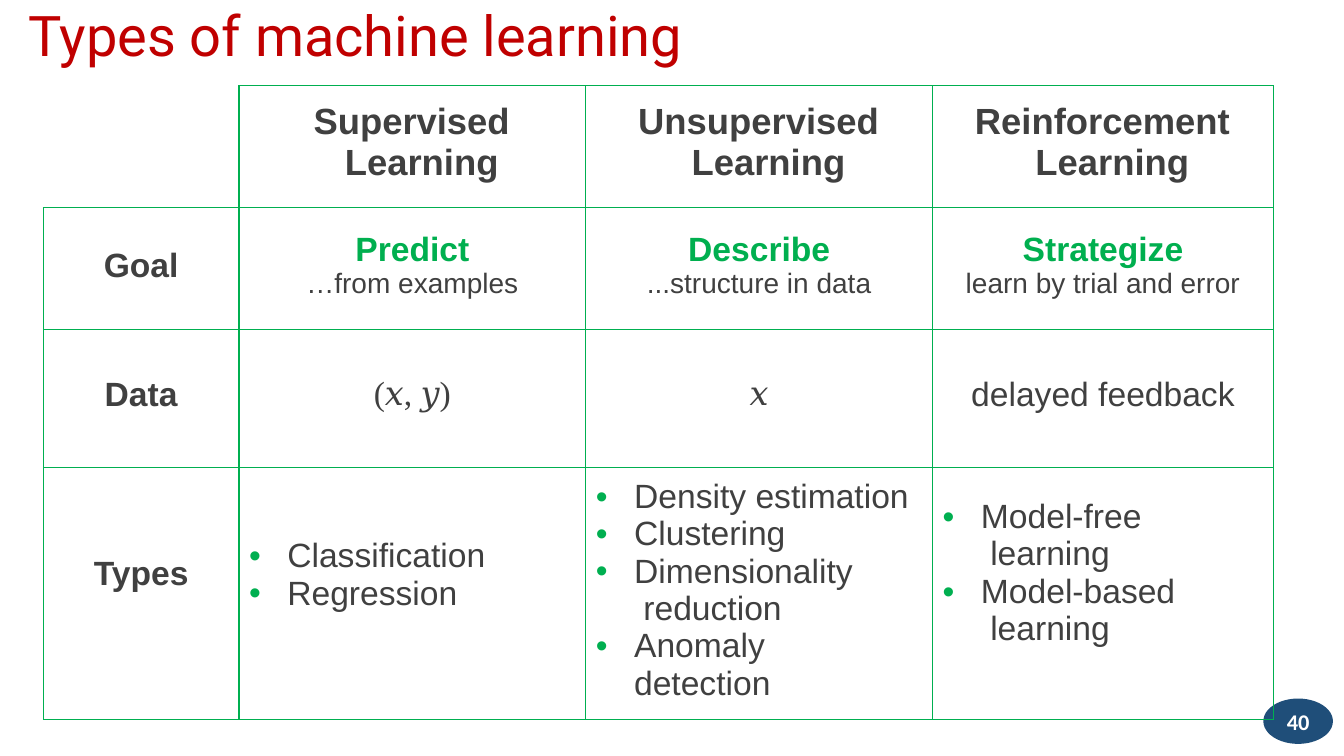
from dataclasses import dataclass

from lxml.etree import SubElement
from pptx import Presentation
from pptx.dml.color import RGBColor
from pptx.enum.shapes import MSO_SHAPE as SHAPE
from pptx.enum.text import MSO_ANCHOR as ANCHOR, PP_ALIGN as ALIGN
from pptx.oxml.ns import qn
from pptx.util import Inches, Pt


@dataclass(frozen=True)
class Theme:
    title: str = "C00000"
    text: str = "404040"
    accent: str = "00AF4F"
    line: str = "00AF50"
    badge: str = "1F4E79"
    white: str = "FFFFFF"
    title_font: str = "Roboto"
    body_font: str = "Arial"
    math_font: str = "Times New Roman"
    badge_font: str = "Calibri"
    title_size: int = 40
    head_size: int = 26
    body_size: int = 24
    note_size: int = 20
    badge_size: int = 16


class SlideBuilder:
    def __init__(self, slide, theme):
        self.slide = slide
        self.theme = theme

    def style(self, p, size, color=None, font=None, bold=False):
        for r in p.runs:
            r.font.size = Pt(size)
            r.font.bold = bold
            r.font.name = font or self.theme.body_font
            r.font.color.rgb = RGBColor.from_string(color or self.theme.text)

    def title(self, text, x, y, w, h):
        t = self.theme
        sp = self.slide.shapes.add_textbox(Inches(x), Inches(y), Inches(w), Inches(h))
        tf = sp.text_frame
        tf.word_wrap = True
        tf.margin_left = tf.margin_top = Inches(0.01)
        tf.margin_right = tf.margin_bottom = 0
        tf.text = text
        self.style(tf.paragraphs[0], t.title_size, t.title, t.title_font)

    def badge(self, text, x, y, w, h):
        t = self.theme
        sp = self.slide.shapes.add_shape(
            SHAPE.OVAL, Inches(x), Inches(y), Inches(w), Inches(h))
        sp.shadow.inherit = False
        sp.fill.solid()
        sp.fill.fore_color.rgb = RGBColor.from_string(t.badge)
        sp.line.fill.background()
        tf = sp.text_frame
        tf.margin_left = tf.margin_right = tf.margin_top = tf.margin_bottom = 0
        tf.vertical_anchor = ANCHOR.MIDDLE
        tf.text = text
        p = tf.paragraphs[0]
        p.alignment = ALIGN.CENTER
        self.style(p, t.badge_size, t.white, t.badge_font, True)

    def table(self, x, y, cols, rows):
        frame = self.slide.shapes.add_table(
            len(rows), len(cols), Inches(x), Inches(y),
            Inches(sum(cols)), Inches(sum(rows)))
        table = frame.table
        table.first_row = table.horz_banding = False
        for col, w in zip(table.columns, cols):
            col.width = Inches(w)
        for row, h in zip(table.rows, rows):
            row.height = Inches(h)
        for cell in table.iter_cells():
            cell.fill.background()
            cell.margin_left = cell.margin_right = 0
            cell.margin_top = cell.margin_bottom = 0
            self.borders(cell, "LRTB")
        self.borders(table.cell(0, 0), "RB")
        return table

    def borders(self, cell, sides):
        tc_pr = cell._tc.get_or_add_tcPr()
        for i, side in enumerate("LRTB"):
            tag = qn("a:ln" + side)
            for old in tc_pr.findall(tag):
                tc_pr.remove(old)
            ln = SubElement(tc_pr, tag, w=str(Pt(1)))
            tc_pr.insert(i, ln)
            if side in sides:
                fill = SubElement(ln, qn("a:solidFill"))
                SubElement(fill, qn("a:srgbClr"), val=self.theme.line)
            else:
                SubElement(ln, qn("a:noFill"))

    def indent(self, p, left, first):
        p_pr = p._p.get_or_add_pPr()
        p_pr.set("marL", str(Inches(left)))
        p_pr.set("indent", str(Inches(first)))
        return p_pr

    def fill_cell(self, cell, lines, top):
        cell.margin_top = Inches(top)
        cell.text_frame.text = "\n".join(lines)
        return cell.text_frame.paragraphs

    def heading(self, cell, text, left, first):
        p, = self.fill_cell(cell, [text], 0.16)
        self.indent(p, left, first)
        self.style(p, self.theme.head_size, bold=True)

    def centred(self, cell, text, top, font=None, bold=False):
        p, = self.fill_cell(cell, [text], top)
        p.alignment = ALIGN.CENTER
        self.style(p, self.theme.body_size, font=font, bold=bold)

    def goal(self, cell, verb, note):
        t = self.theme
        head, sub = self.fill_cell(cell, [verb, note], 0.23)
        head.alignment = sub.alignment = ALIGN.CENTER
        self.style(head, t.body_size, t.accent, bold=True)
        self.style(sub, t.note_size)

    def bullets(self, cell, items, top):
        for p in self.fill_cell(cell, items, top):
            p_pr = self.indent(p, 0.48, -0.38)
            color = SubElement(p_pr, qn("a:buClr"))
            SubElement(color, qn("a:srgbClr"), val=self.theme.line)
            SubElement(p_pr, qn("a:buFont"), typeface=self.theme.body_font)
            SubElement(p_pr, qn("a:buChar"), char="•")
            self.style(p, self.theme.body_size)


# Text of the table: "\v" is a line break inside a paragraph
ROW_LABELS = [("Goal", 0.39), ("Data", 0.46), ("Types", 0.87)]
HEADINGS = [("Supervised\v Learning", 0.95, -0.21),
            ("Unsupervised\v Learning", 0.95, -0.43),
            ("Reinforcement\v Learning", 0.92, -0.5)]
GOALS = [("Predict", "…from examples"),
         ("Describe", "...structure in data"),
         ("Strategize", "learn by trial and error")]
DATA = [("(𝑥, 𝑦)", Theme.math_font), ("𝑥", Theme.math_font),
        ("delayed feedback", Theme.body_font)]
TYPES = [(["Classification", "Regression"], 0.69),
         (["Density estimation", "Clustering", "Dimensionality\v reduction",
           "Anomaly\vdetection"], 0.1),
         (["Model-free\v learning", "Model-based\v learning"], 0.3)]


def main():
    prs = Presentation()
    prs.slide_width, prs.slide_height = Inches(13.33), Inches(7.5)
    s = SlideBuilder(prs.slides.add_slide(prs.slide_layouts[6]), Theme())

    # Page number and title
    s.badge("40", 12.53, 6.93, 0.69, 0.45)
    s.title("Types of machine learning", 0.27, 0, 6.99, 0.69)

    # Comparison table
    table = s.table(0.43, 0.85, [1.94, 3.44, 3.44, 3.38], [1.21, 1.21, 1.37, 2.49])
    for row, (label, top) in enumerate(ROW_LABELS, 1):
        s.centred(table.cell(row, 0), label, top, bold=True)
    columns = zip(HEADINGS, GOALS, DATA, TYPES)
    for col, (heading, goal, (data, font), (types, top)) in enumerate(columns, 1):
        s.heading(table.cell(0, col), *heading)
        s.goal(table.cell(1, col), *goal)
        s.centred(table.cell(2, col), data, 0.46, font)
        s.bullets(table.cell(3, col), types, top)

    prs.save("out.pptx")


if __name__ == "__main__":
    main()
